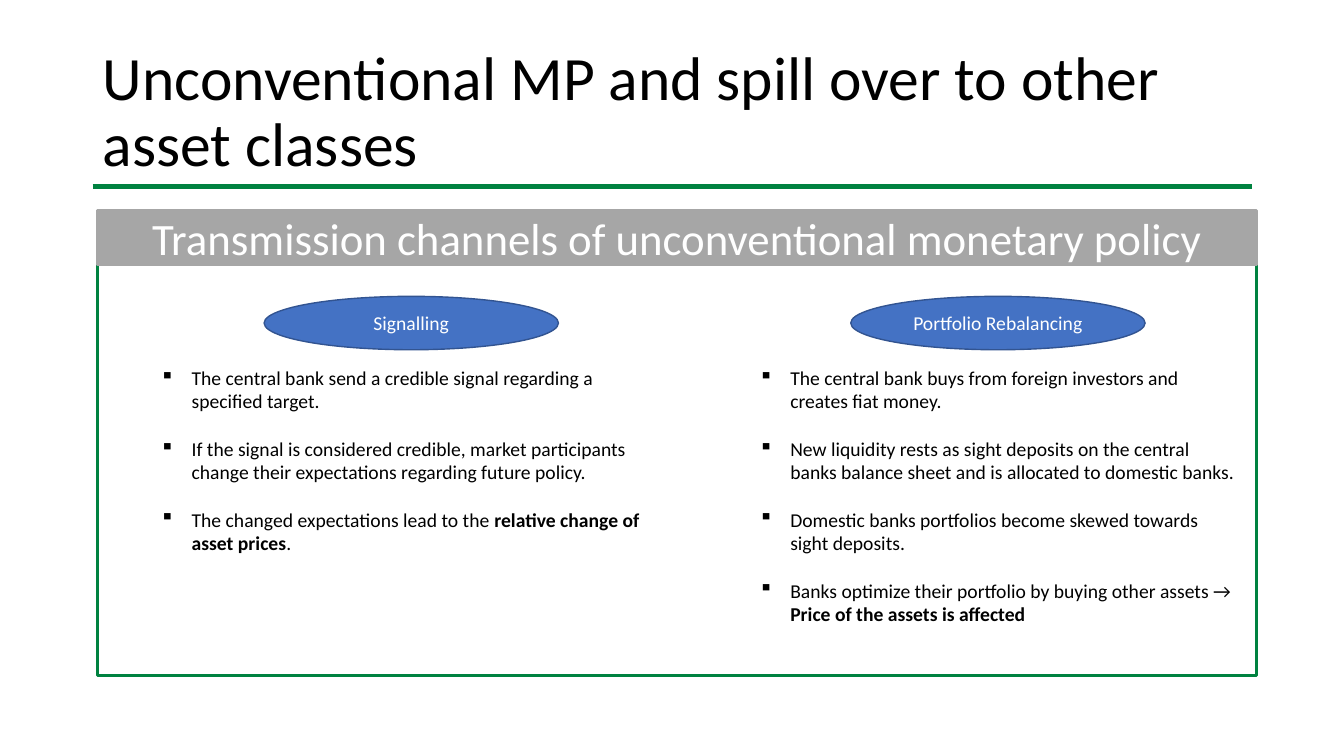
from lxml import etree
from pptx import Presentation
from pptx.dml.color import RGBColor
from pptx.enum import shapes, text
from pptx.oxml import ns
from pptx.util import Pt

GREEN, GREY, BLUE, NAVY = "008240", "A6A6A6", "4472C4", "325491"
BLACK, WHITE = "000000", "FFFFFF"
LEFT, WIDTH = 69.84, 828

# Each bullet alternates plain and bold text, starting with plain.
SIGNAL = [
    ["The central bank send a credible signal regarding a specified target."],
    ["If the signal is considered credible, market participants change "
     "their expectations regarding future policy."],
    ["The changed expectations lead to the ",
     "relative change of asset prices", "."],
]
REBALANCE = [
    ["The central bank buys from foreign investors and creates fiat money."],
    ["New liquidity rests as sight deposits on the central banks balance "
     "sheet and is allocated to domestic banks."],
    ["Domestic banks portfolios become skewed towards sight deposits."],
    ["Banks optimize their portfolio by buying other assets → ",
     "Price of the assets is affected"],
]
CHANNELS = [
    ("Signalling", 188.64, SIGNAL, 107.28, 372.96),
    ("Portfolio Rebalancing", 607.68, REBALANCE, 534.96, 355.68),
]


def color(code):
    return RGBColor.from_string(code)


def style(para, size, code):
    para.font.name = "Calibri"
    para.font.size = Pt(size)
    para.font.color.rgb = color(code)


def add_title(slide, words):
    title = slide.shapes.title
    title.left, title.top = Pt(66.24), Pt(28.8)
    title.width, title.height = Pt(WIDTH), Pt(104.4)
    frame = title.text_frame
    frame.text = words
    frame.word_wrap = True
    frame.auto_size = text.MSO_AUTO_SIZE.NONE
    frame.vertical_anchor = text.MSO_ANCHOR.MIDDLE
    para = frame.paragraphs[0]
    para.alignment = text.PP_ALIGN.LEFT
    para.line_spacing = 0.9
    style(para, 44, BLACK)


def add_rule(slide, left, top, width):
    rule = slide.shapes.add_connector(
        shapes.MSO_CONNECTOR.STRAIGHT,
        Pt(left), Pt(top), Pt(left + width), Pt(top))
    rule.line.color.rgb = color(GREEN)
    rule.line.width = Pt(3.5)
    etree.SubElement(rule._element.spPr, ns.qn("a:effectLst"))


def add_box(slide, kind, box, fill, line, weight, words="", size=14):
    shape = slide.shapes.add_shape(kind, *map(Pt, box))
    shape.shadow.inherit = False
    if fill:
        shape.fill.solid()
        shape.fill.fore_color.rgb = color(fill)
    else:
        shape.fill.background()
    shape.line.color.rgb = color(line)
    shape.line.width = Pt(weight)
    if words:
        frame = shape.text_frame
        frame.text = words
        frame.vertical_anchor = text.MSO_ANCHOR.MIDDLE
        para = frame.paragraphs[0]
        para.alignment = text.PP_ALIGN.CENTER
        style(para, size, WHITE)


def add_mark(para):
    """Give the paragraph a square bullet with a hanging indent."""
    props = para._p.get_or_add_pPr()
    props.set("marL", str(Pt(22.5)))
    props.set("indent", str(Pt(-22.5)))
    etree.SubElement(props, ns.qn("a:buChar"), char="▪")


def add_list(slide, box, items):
    frame = slide.shapes.add_textbox(*map(Pt, box)).text_frame
    frame.word_wrap = True
    for i, parts in enumerate(items):
        para = frame.add_paragraph() if i else frame.paragraphs[0]
        add_mark(para)
        if i:
            para.space_before = Pt(17)
        style(para, 14, BLACK)
        for j, part in enumerate(parts):
            run = para.add_run()
            run.text = part
            if j % 2:
                run.font.bold = True


def main():
    deck = Presentation()
    deck.slide_width, deck.slide_height = Pt(960), Pt(540)
    slide = deck.slides.add_slide(deck.slide_layouts[5])
    rect, oval = shapes.MSO_SHAPE.RECTANGLE, shapes.MSO_SHAPE.OVAL

    add_title(slide, "Unconventional MP and spill over to other asset classes")
    add_rule(slide, 66.24, 133.2, WIDTH)
    add_box(slide, rect, (LEFT, 189.36, WIDTH, 293.04), None, GREEN, 2)
    add_box(slide, rect, (LEFT, 150.48, WIDTH, 38.88), GREY, GREY, 2,
            "Transmission channels of unconventional monetary policy", 32)
    for name, left, items, edge, width in CHANNELS:
        add_box(slide, oval, (left, 211.68, 210.24, 38.16), BLUE, NAVY, 1, name)
        height = 7.2 + 17 * (3 * len(items) - 1)
        add_list(slide, (edge, 257.76, width, height), items)
    deck.save("out.pptx")


if __name__ == "__main__":
    main()
